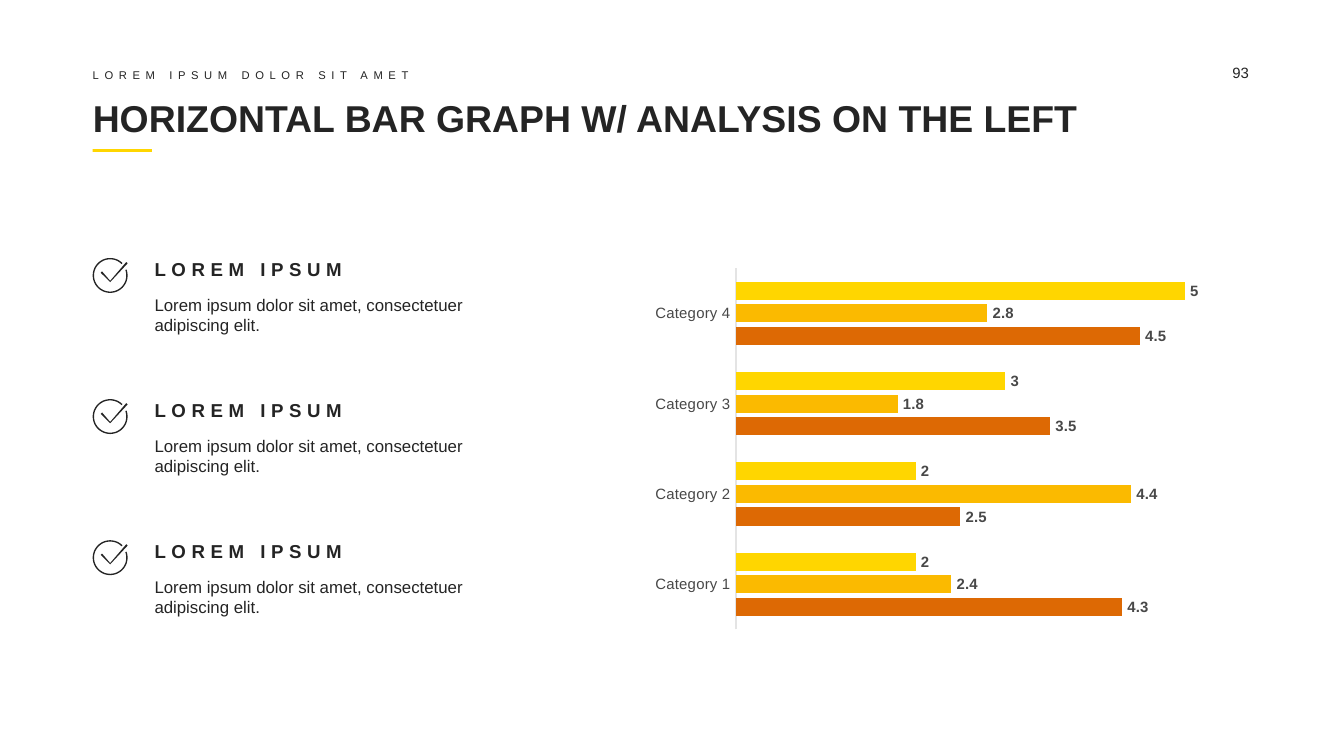
from dataclasses import dataclass
from math import cos, radians, sin

from pptx import Presentation
from pptx.chart.data import CategoryChartData as Data
from pptx.dml.color import RGBColor as RGB
from pptx.enum.chart import XL_CHART_TYPE as Kind, XL_LABEL_POSITION as Spot, XL_TICK_MARK as Tick
from pptx.enum.shapes import MSO_SHAPE as Shape
from pptx.enum.text import MSO_ANCHOR as Anchor, MSO_AUTO_SIZE as Fit, PP_ALIGN as Align
from pptx.util import Inches, Pt


@dataclass(frozen=True)
class Theme:
    """Colours, type face and type sizes of the slide."""
    face: str = "Arial"
    ink: str = "242424"
    gray: str = "484848"
    pale: str = "E4E4E4"
    gold: str = "FFD600"
    amber: str = "FBBA00"
    rust: str = "DD6904"
    title: int = 20
    head: int = 10
    body: int = 9
    small: int = 8
    tiny: int = 6


class Deck:
    """Draws elements on the current slide in one theme."""

    def __init__(self, theme, show):
        """Keep the theme and add a title-only slide."""
        self.theme = theme
        self.slide = show.slides.add_slide(show.slide_layouts[5])

    def font(self, font, size, color, bold=False):
        """Style any font object."""
        font.name, font.size, font.bold = self.theme.face, Pt(size), bold
        font.color.rgb = RGB.from_string(color)

    def paint(self, shape, color):
        """Give a shape a flat fill without line or shadow."""
        shape.fill.solid()
        shape.fill.fore_color.rgb = RGB.from_string(color)
        shape.line.fill.background()
        shape.shadow.inherit = False

    def fill(self, box, text, size, bold=False, gap=0, wrap=True, anchor=Anchor.TOP):
        """Write left-aligned text into a box without insets."""
        frame = box.text_frame
        frame.text = text
        frame.word_wrap, frame.auto_size = wrap, Fit.NONE
        frame.vertical_anchor = anchor
        frame.margin_left = frame.margin_right = frame.margin_top = frame.margin_bottom = 0
        line = frame.paragraphs[0]
        line.alignment = Align.LEFT
        run = line.runs[0]
        self.font(run.font, size, self.theme.ink, bold)
        if gap:
            run._r.get_or_add_rPr().set("spc", str(gap * 100))

    def title(self, text, x, y, w, h):
        """Place and fill the title placeholder."""
        box = self.slide.shapes.title
        box.left, box.top, box.width, box.height = map(Inches, (x, y, w, h))
        self.fill(box, text, self.theme.title, bold=True, anchor=Anchor.MIDDLE)

    def text(self, text, x, y, w, h, size, **style):
        """Add a text box."""
        box = self.slide.shapes.add_textbox(*map(Inches, (x, y, w, h)))
        self.fill(box, text, size, **style)

    def bar(self, x, y, w, h, color):
        """Add a plain filled rectangle."""
        box = self.slide.shapes.add_shape(Shape.RECTANGLE, *map(Inches, (x, y, w, h)))
        self.paint(box, color)

    def check(self, x, y):
        """Add an open ring with a check mark."""
        mid, turns = 0.13, range(-20, 316, 5)

        def arc(size, angles):
            return [(mid + size * cos(radians(a)), mid + size * sin(radians(a))) for a in angles]

        ring = arc(0.13, turns) + arc(0.12, reversed(turns))
        mark = [(0.06, 0.11), (0.07, 0.1), (0.13, 0.17), (0.25, 0.03), (0.26, 0.04), (0.13, 0.18)]
        first, *rest = [[(Inches(a), Inches(b)) for a, b in part] for part in (ring, mark)]
        pen = self.slide.shapes.build_freeform(*first[0])
        pen.add_line_segments(first[1:])
        for part in rest:
            pen.move_to(*part[0])
            pen.add_line_segments(part[1:])
        self.paint(pen.convert_to_shape(Inches(x), Inches(y)), self.theme.ink)

    def chart(self, cats, rows, x, y, w, h):
        """Add a clustered bar chart with labelled bars."""
        look, data = self.theme, Data()
        data.categories = cats
        for name, vals, _ in rows:
            data.add_series(name, vals)
        frame = self.slide.shapes.add_chart(Kind.BAR_CLUSTERED, *map(Inches, (x, y, w, h)), data)
        chart = frame.chart
        chart.has_legend = chart.has_title = False
        self.font(chart.font, look.head, look.gray)
        axis = chart.category_axis
        axis.major_tick_mark = axis.minor_tick_mark = Tick.NONE
        axis.has_major_gridlines = False
        axis.format.line.width = Pt(0.75)
        axis.format.line.color.rgb = RGB.from_string(look.pale)
        self.font(axis.tick_labels.font, look.small, look.gray)
        scale = chart.value_axis
        scale.minimum_scale, scale.maximum_scale = 0, 6
        scale.has_major_gridlines = scale.visible = False
        plot = chart.plots[0]
        plot.gap_width, plot.overlap, plot.vary_by_categories = 150, -25, False
        for bars, (_, _, color) in zip(plot.series, rows):
            bars.format.fill.solid()
            bars.format.fill.fore_color.rgb = RGB.from_string(color)
            tags = bars.data_labels
            tags.show_value, tags.position = True, Spot.OUTSIDE_END
            self.font(tags.font, look.small, look.gray, bold=True)


def main():
    """Build and save the slide."""
    show = Presentation()
    show.slide_width = Inches(10)
    show.slide_height = show.slide_width * 9 // 16
    look = Theme()
    deck = Deck(look, show)
    left, inset = 0.69, 1.15
    deck.bar(left, 1.11, 0.44, 0.02, look.gold)
    rows = [
        ("Series 1", (4.3, 2.5, 3.5, 4.5), look.rust),
        ("Series 2", (2.4, 4.4, 1.8, 2.8), look.amber),
        ("Series 3", (2, 2, 3, 5), look.gold),
    ]
    cats = [f"Category {n}" for n in range(1, 5)]
    deck.chart(cats, rows, 4.78, 1.94, 4.8, 2.8)
    deck.title("HORIZONTAL BAR GRAPH W/ ANALYSIS ON THE LEFT", left, 0.69, 8.62, 0.37)
    deck.text("93", 9.17, 0.47, 0.43, 0.16, look.small)
    for row in range(3):
        top = 1.92 + 1.05 * row
        deck.text("Lorem ipsum dolor sit amet, consectetuer adipiscing elit.",
                  inset, top + 0.27, 2.5, 0.3, look.body)
        deck.text("LOREM IPSUM", inset, top, 1.45, 0.17, look.head, bold=True, gap=3, wrap=False)
        deck.check(left, top)
    deck.text("LOREM IPSUM DOLOR SIT AMET", left, 0.51, 7.17, 0.1, look.tiny,
              gap=3, anchor=Anchor.MIDDLE)
    show.save("out.pptx")


if __name__ == "__main__":
    main()
